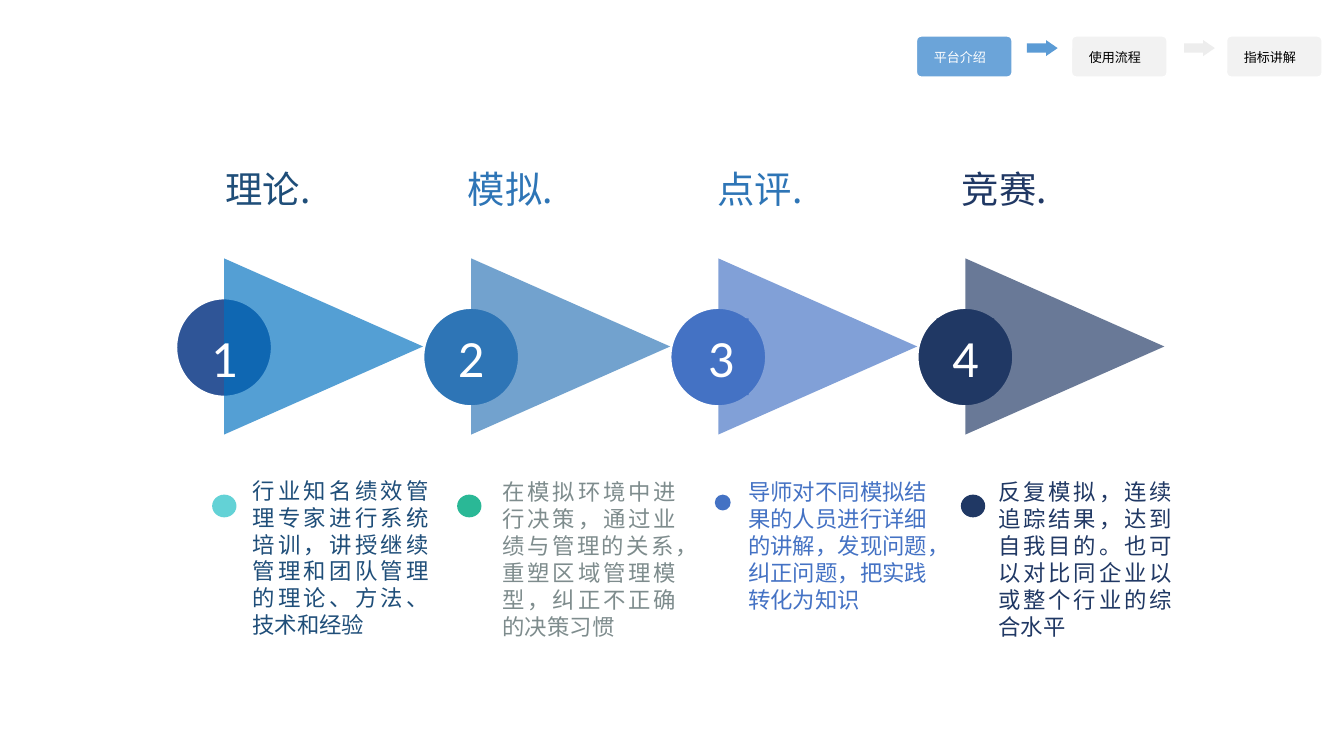
from pptx import Presentation
from pptx.dml.color import RGBColor
from pptx.enum.shapes import MSO_SHAPE as Shape
from pptx.enum.text import MSO_ANCHOR as Anchor, PP_ALIGN as Align
from pptx.oxml.ns import qn
from pptx.util import Cm, Pt
from lxml.etree import SubElement

CJK, LATIN = "Noto Sans CJK SC", "Calibri"
WHITE, BLACK = RGBColor(255, 255, 255), RGBColor(0, 0, 0)
NAVY = RGBColor(0x20, 0x38, 0x64)
INDIGO = RGBColor(0x2F, 0x55, 0x97)
DEEP_BLUE = RGBColor(0x1F, 0x4E, 0x79)
BRIGHT_BLUE = RGBColor(0x00, 0x70, 0xC0)
MID_BLUE = RGBColor(0x2E, 0x75, 0xB6)
PERIWINKLE = RGBColor(0x44, 0x72, 0xC4)
SKY_BLUE = RGBColor(0x5B, 0x9B, 0xD5)
TEAL = RGBColor(0x38, 0xC6, 0xCB)
GREEN = RGBColor(0x2A, 0xB8, 0x96)
GREY = RGBColor(0x7E, 0x8C, 0x8D)
PALE = RGBColor(0xED, 0xED, 0xED)
SILVER = RGBColor(0xE7, 0xE6, 0xE6)

# Content: positions in cm
STAGES = [
    dict(title="理论.", title_left=4.01, title_color=DEEP_BLUE,
         body="行业知名绩效管理专家进行系统培训，讲授继续管理和团队管理的理论、方法、技术和经验",
         body_at=(4.52, 8.89, 3.84, 3.33), body_color=DEEP_BLUE,
         circle=INDIGO, circle_top=5.59, triangle=BRIGHT_BLUE,
         number_at=(3.51, 6.02, 1.45, 1.45), number_fill=None,
         dot=TEAL, dot_alpha=78, dot_at=(4.01, 9.35, 0.46, 0.43)),
    dict(title="模拟.", title_left=8.59, title_color=MID_BLUE,
         body="在模拟环境中进行决策，通过业绩与管理的关系，重塑区域管理模型，纠正不正确的决策习惯",
         body_at=(9.25, 8.92, 3.78, 3.33), body_color=GREY,
         circle=MID_BLUE, circle_top=5.77, triangle=MID_BLUE,
         number_at=(8.18, 6.02, 1.45, 1.45), number_fill=None,
         dot=GREEN, dot_alpha=100, dot_at=(8.64, 9.35, 0.46, 0.43)),
    dict(title="点评.", title_left=13.31, title_color=MID_BLUE,
         body="导师对不同模拟结果的人员进行详细的讲解，发现问题，纠正问题，把实践转化为知识",
         body_at=(13.89, 8.92, 3.89, 3.33), body_color=PERIWINKLE,
         circle=PERIWINKLE, circle_top=5.77, triangle=PERIWINKLE,
         number_at=(13.11, 6.02, 1.04, 1.45), number_fill=PERIWINKLE,
         dot=PERIWINKLE, dot_alpha=100, dot_at=(13.51, 9.35, 0.3, 0.3)),
    dict(title="竞赛.", title_left=17.93, title_color=NAVY,
         body="反复模拟，连续追踪结果，达到自我目的。也可以对比同企业以或整个行业的综合水平",
         body_at=(18.62, 8.92, 3.78, 3.33), body_color=NAVY,
         circle=NAVY, circle_top=5.77, triangle=NAVY,
         number_at=(17.7, 6.02, 1.09, 1.45), number_fill=NAVY,
         dot=NAVY, dot_alpha=100, dot_at=(18.16, 9.35, 0.46, 0.43)),
]
STAGE_PITCH = 4.67

# Navigation: label, fill, opacity, text colour, colour of the arrow after it
STEPS = [
    ("平台介绍", SKY_BLUE, 90, WHITE, SKY_BLUE),
    ("使用流程", PALE, 70, BLACK, PALE),
    ("指标讲解", SILVER, 50, BLACK, None),
]
STEP_PITCH, ARROW_PITCH = 2.93, 2.97

deck = Presentation()
deck.slide_width, deck.slide_height = Cm(25.4), Cm(14.29)
page = deck.slides.add_slide(deck.slide_layouts[6])


def add_shape(kind, at, color, alpha=100, border=None):
    shape = page.shapes.add_shape(kind, *map(Cm, at))
    shape.shadow.inherit = False
    shape.fill.solid()
    shape.fill.fore_color.rgb = color
    if alpha < 100:
        tint = shape.fill._xPr.find(qn("a:solidFill"))[0]
        SubElement(tint, qn("a:alpha"), val=str(alpha * 1000))
    if border:
        shape.line.color.rgb = WHITE
        shape.line.width = Pt(border)
    else:
        shape.line.fill.background()
    return shape


def add_text(at, text, size, color, align, font=CJK, anchor=Anchor.TOP, spacing=None):
    box = page.shapes.add_textbox(*map(Cm, at))
    frame = box.text_frame
    frame.word_wrap = True
    frame.vertical_anchor = anchor
    para = frame.paragraphs[0]
    para.alignment = align
    if spacing:
        para.line_spacing = Pt(spacing)
    span = para.add_run()
    span.text = text
    span.font.size = Pt(size)
    span.font.name = font
    span.font.color.rgb = color
    SubElement(span.font._element, qn("a:ea"), typeface=font)
    return box


# Circles lie beneath the translucent triangles
for i, stage in enumerate(STAGES):
    add_shape(Shape.OVAL, (3.28 + i * STAGE_PITCH, stage["circle_top"], 1.91, 1.96),
              stage["circle"], border=4)
for i, stage in enumerate(STAGES):
    triangle = add_shape(Shape.ISOSCELES_TRIANGLE,
                         (4.45 + i * STAGE_PITCH, 4.67, 3.33, 3.76),
                         stage["triangle"], 67)
    triangle.rotation = 90

# Titles, descriptions, numbers and bullets of the stages
for number, stage in enumerate(STAGES, 1):
    add_text((stage["title_left"], 3, 4, 1.12), stage["title"], 20,
             stage["title_color"], Align.JUSTIFY, anchor=Anchor.MIDDLE)
    add_text(stage["body_at"], stage["body"], 12, stage["body_color"],
             Align.JUSTIFY, spacing=14.4)
    label = add_text(stage["number_at"], str(number), 28, WHITE, Align.CENTER, LATIN)
    if stage["number_fill"]:
        label.fill.solid()
        label.fill.fore_color.rgb = stage["number_fill"]
    add_shape(Shape.OVAL, stage["dot_at"], stage["dot"], stage["dot_alpha"])

# Navigation at the top right
for i, (name, fill, alpha, color, arrow_color) in enumerate(STEPS):
    left = 17.3 + i * STEP_PITCH
    button = add_shape(Shape.ROUNDED_RECTANGLE, (left, 0.66, 1.85, 0.82), fill, alpha, 2)
    button.adjustments[0] = 0.13
    add_text((left + 0.1, 0.81, 2, 0.53), name, 7, color, Align.LEFT, anchor=Anchor.MIDDLE)
    if arrow_color:
        arrow = add_shape(Shape.RIGHT_ARROW,
                          (19.41 + i * ARROW_PITCH, 0.76, 0.58, 0.3), arrow_color)
        arrow.adjustments[0], arrow.adjustments[1] = 0.58, 0.73

deck.save("out.pptx")
